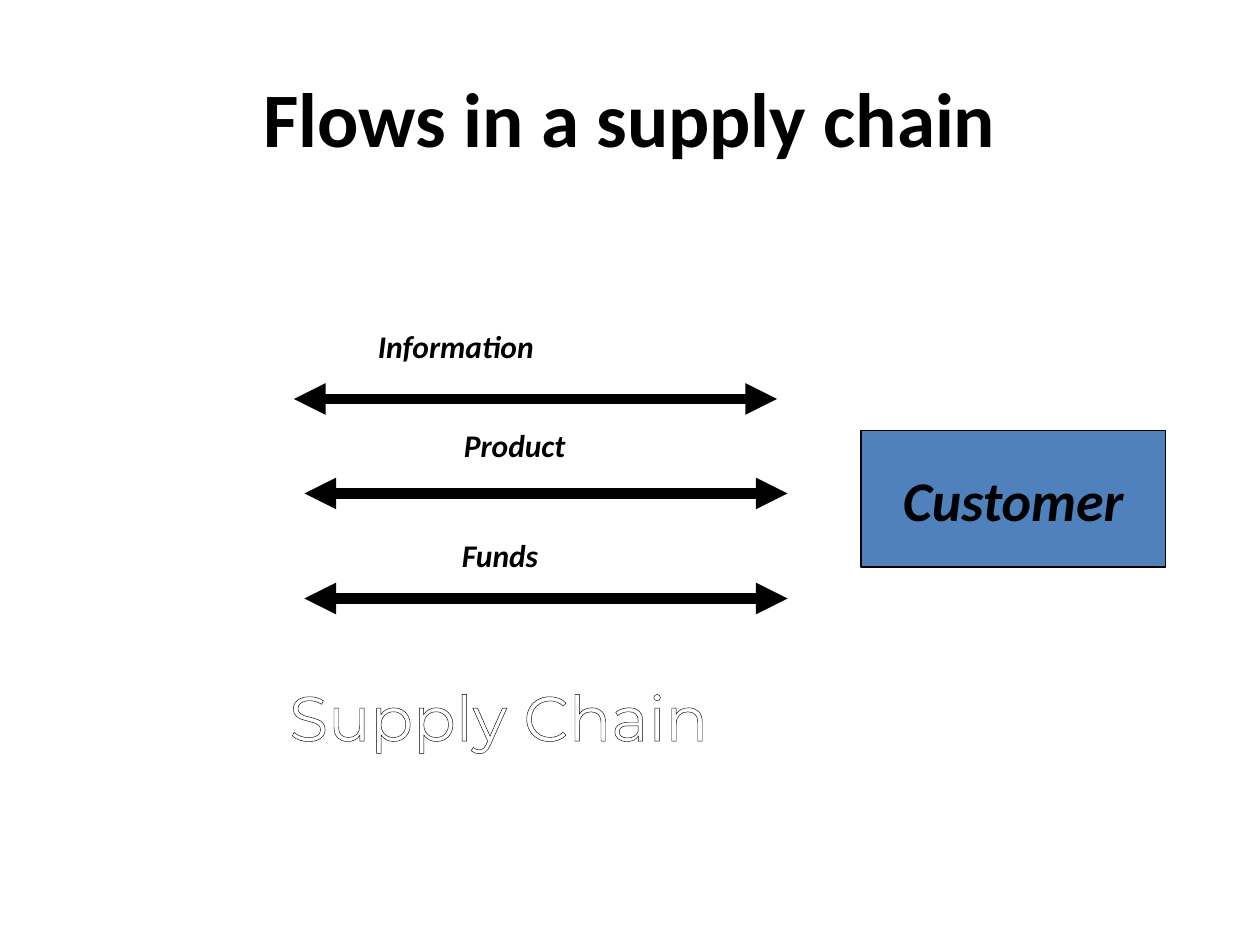
from typing import NamedTuple

from lxml.etree import SubElement
from pptx import Presentation
from pptx.dml.color import RGBColor
from pptx.enum.shapes import MSO_CONNECTOR as Connector, MSO_SHAPE as Shape
from pptx.enum.text import MSO_ANCHOR as Anchor, MSO_AUTO_SIZE as AutoSize, PP_ALIGN as Align
from pptx.oxml import parse_xml
from pptx.oxml.ns import nsdecls, qn
from pptx.util import Inches, Pt

UNIT = Inches(1) / 12  # grid of 120 columns by 90 rows
BLACK, WHITE, BLUE = "000000", "FFFFFF", "4F81BD"


class Flow(NamedTuple):
    name: str
    start: int  # first column of the arrow
    row: int  # row of the arrow
    label_box: tuple[float, float, float, float]


FLOWS = [
    Flow("Information", 28, 38, (34.8, 30.6, 17.5, 4.8)),
    Flow("Product", 29, 47, (43, 40, 12.2, 4.8)),
    Flow("Funds", 29, 57, (42.8, 50.5, 9.7, 4.8)),
]
ARROW_COLUMNS = 46


def grid(*lengths: float) -> list[int]:
    return [round(length * UNIT) for length in lengths]


def color(value: str) -> RGBColor:
    return RGBColor.from_string(value)


def write(shape, text: str, size: float, align=None, font_name: str = "Calibri",
          text_color: str = BLACK, bold: bool = True, italic: bool = True):
    """Fill a shape with one formatted paragraph and return its run."""
    shape.text_frame.text = text
    paragraph = shape.text_frame.paragraphs[0]
    paragraph.alignment = align
    run = paragraph.runs[0]
    font = run.font
    font.name, font.size, font.bold, font.italic = font_name, Pt(size), bold, italic
    font.color.rgb = color(text_color)
    return run


def draw_flow(slide, flow: Flow) -> None:
    """Draw a double-headed arrow with its label above."""
    arrow = slide.shapes.add_connector(
        Connector.STRAIGHT, *grid(flow.start, flow.row, flow.start + ARROW_COLUMNS, flow.row))
    arrow.line.color.rgb = color(BLACK)
    arrow.line.width = Pt(6)
    line = arrow.line._get_or_add_ln()
    for end in ("a:headEnd", "a:tailEnd"):
        SubElement(line, qn(end), type="triangle")
    SubElement(arrow._element.spPr, qn("a:effectLst"))

    label = slide.shapes.add_textbox(*grid(*flow.label_box))
    label.text_frame.word_wrap = False
    label.text_frame.auto_size = AutoSize.SHAPE_TO_FIT_TEXT
    write(label, flow.name, 18, Align.LEFT)


def main() -> None:
    presentation = Presentation()
    presentation.slide_width, presentation.slide_height = grid(120, 90)
    slide = presentation.slides.add_slide(presentation.slide_layouts[5])

    # Title
    title = slide.shapes.title
    title.left, title.top, title.width, title.height = grid(6, 3.6, 108, 15)
    title.text_frame.vertical_anchor = Anchor.MIDDLE
    write(title, "Flows in a supply chain", 44, Align.CENTER, italic=False)

    # Customer box
    customer = slide.shapes.add_shape(Shape.RECTANGLE, *grid(82, 41, 29, 13))
    customer.shadow.inherit = False
    customer.fill.solid()
    customer.fill.fore_color.rgb = color(BLUE)
    customer.line.color.rgb = color(BLACK)
    customer.line.width = Pt(1)
    customer.text_frame.word_wrap = False
    customer.text_frame.vertical_anchor = Anchor.MIDDLE
    write(customer, "Customer", 32, Align.CENTER)

    # Flows
    for flow in FLOWS:
        draw_flow(slide, flow)

    # Outlined caption
    caption = slide.shapes.add_textbox(*grid(7, 64, 81, 9))
    caption.text_frame.word_wrap = False
    run = write(caption, "Supply Chain", 36, Align.CENTER, "Montserrat", WHITE, False, False)
    outline = parse_xml(
        f'<a:ln {nsdecls("a")} w="{Pt(0.75)}"><a:solidFill>'
        f'<a:srgbClr val="{BLACK}"/></a:solidFill></a:ln>')
    run._r.get_or_add_rPr().insert(0, outline)

    presentation.save("out.pptx")


if __name__ == "__main__":
    main()
